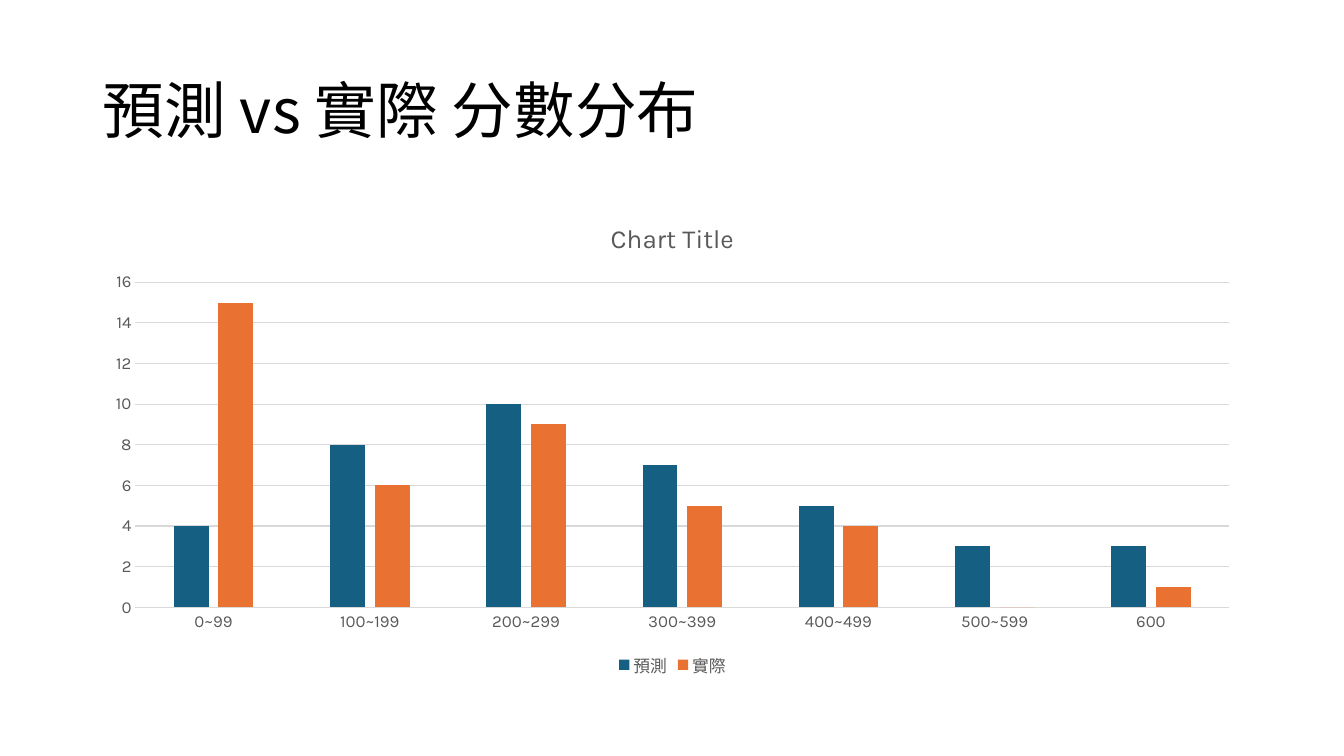
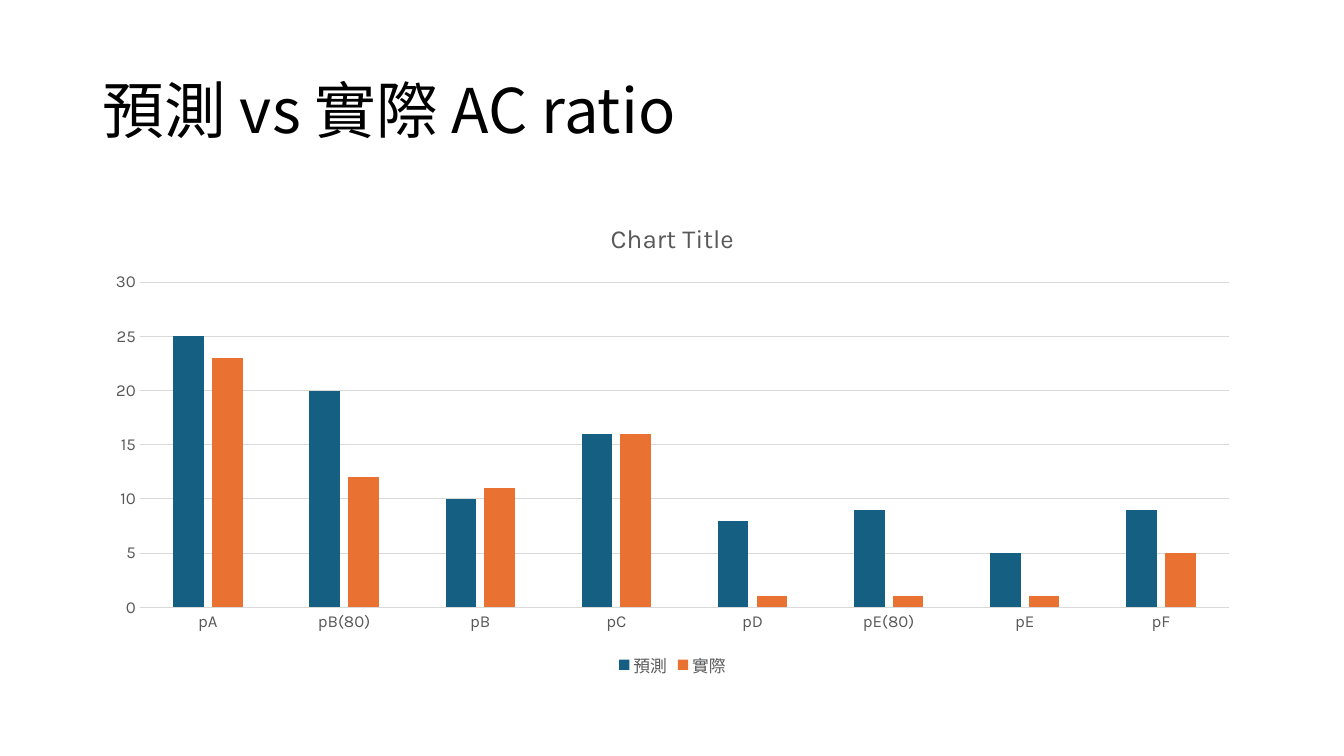
import dataclasses

import lxml.etree
import pptx
import pptx.chart.axis
import pptx.chart.chart
import pptx.chart.data
import pptx.dml.color
import pptx.dml.line
import pptx.enum.chart
import pptx.enum.text
import pptx.oxml.ns
import pptx.presentation
import pptx.text.text
import pptx.util
from pptx.util import Inches

TITLE_FONT = "Noto Sans CJK SC"
CHART_FONT = "Karla"
BLACK = "000000"
LABEL_GREY = "595959"
GRID_GREY = "D9D9D9"
SERIES_COLOURS = {"預測": "156082", "實際": "E97132"}
TITLE_ONLY_LAYOUT = 5
MARGIN = Inches(0.92)
CONTENT_WIDTH = Inches(11.5)


@dataclasses.dataclass(frozen=True)
class ComparisonSlide:
    title: str
    categories: list[str]
    predicted: list[int]
    actual: list[int]
    axis_maximum: int
    axis_step: int


SLIDES = [
    ComparisonSlide(
        title="預測 vs 實際 分數分布",
        categories=["0~99", "100~199", "200~299", "300~399", "400~499", "500~599", "600"],
        predicted=[4, 8, 10, 7, 5, 3, 3],
        actual=[15, 6, 9, 5, 4, 0, 1],
        axis_maximum=16,
        axis_step=2,
    ),
    ComparisonSlide(
        title="預測 vs 實際 AC ratio",
        categories=["pA", "pB(80)", "pB", "pC", "pD", "pE(80)", "pE", "pF"],
        predicted=[25, 20, 10, 16, 8, 9, 5, 9],
        actual=[23, 12, 11, 16, 1, 1, 1, 5],
        axis_maximum=30,
        axis_step=5,
    ),
]


def colour(value: str) -> pptx.dml.color.RGBColor:
    return pptx.dml.color.RGBColor.from_string(value)


def format_font(font: pptx.text.text.Font, *, name: str, size: float, hex_colour: str) -> None:
    font.name = name
    font.size = pptx.util.Pt(size)
    font.bold = False
    font.color.rgb = colour(hex_colour)


def write_text(
    text_frame: pptx.text.text.TextFrame, text: str, *,
    name: str, size: float, hex_colour: str, line_spacing: float | None = None,
) -> None:
    """Fill the frame with one left-aligned run, using the font for Chinese text too."""
    paragraph = text_frame.paragraphs[0]
    paragraph.alignment = pptx.enum.text.PP_ALIGN.LEFT
    paragraph.line_spacing = line_spacing
    run = paragraph.add_run()
    run.text = text
    format_font(run.font, name=name, size=size, hex_colour=hex_colour)
    properties = run.font._element
    lxml.etree.SubElement(properties, pptx.oxml.ns.qn("a:ea"), typeface=name)


def format_line(line: pptx.dml.line.LineFormat) -> None:
    line.color.rgb = colour(GRID_GREY)
    line.width = pptx.util.Pt(0.75)


def add_title(slide: pptx.slide.Slide, text: str) -> None:
    title = slide.shapes.title
    title.left, title.top = MARGIN, Inches(0.4)
    title.width, title.height = CONTENT_WIDTH, Inches(1.45)
    text_frame = title.text_frame
    text_frame.word_wrap = True
    text_frame.auto_size = pptx.enum.text.MSO_AUTO_SIZE.NONE
    text_frame.vertical_anchor = pptx.enum.text.MSO_ANCHOR.MIDDLE
    write_text(text_frame, text, name=TITLE_FONT, size=44, hex_colour=BLACK, line_spacing=0.9)


def format_axes(chart: pptx.chart.chart.Chart, content: ComparisonSlide) -> None:
    category_axis, value_axis = chart.category_axis, chart.value_axis
    for axis in (category_axis, value_axis):
        axis.major_tick_mark = pptx.enum.chart.XL_TICK_MARK.NONE
        axis.minor_tick_mark = pptx.enum.chart.XL_TICK_MARK.NONE
        format_font(axis.tick_labels.font, name=CHART_FONT, size=12, hex_colour=LABEL_GREY)
    format_line(category_axis.format.line)
    value_axis.format.line.fill.background()
    value_axis.has_major_gridlines = True
    format_line(value_axis.major_gridlines.format.line)
    value_axis.minimum_scale = 0
    value_axis.maximum_scale = content.axis_maximum
    value_axis.major_unit = content.axis_step


def add_comparison_chart(slide: pptx.slide.Slide, content: ComparisonSlide) -> None:
    data = pptx.chart.data.CategoryChartData()
    data.categories = content.categories
    for name, values in zip(SERIES_COLOURS, (content.predicted, content.actual)):
        data.add_series(name, values)
    chart = slide.shapes.add_chart(
        pptx.enum.chart.XL_CHART_TYPE.COLUMN_CLUSTERED,
        MARGIN, Inches(2), CONTENT_WIDTH, Inches(4.76), data,
    ).chart
    format_font(chart.font, name=CHART_FONT, size=10, hex_colour=BLACK)

    chart.has_title = True
    write_text(chart.chart_title.text_frame, "Chart Title",
               name=CHART_FONT, size=18.6, hex_colour=LABEL_GREY)
    format_axes(chart, content)

    chart.has_legend = True
    chart.legend.position = pptx.enum.chart.XL_LEGEND_POSITION.BOTTOM
    chart.legend.include_in_layout = False
    format_font(chart.legend.font, name=CHART_FONT, size=12, hex_colour=LABEL_GREY)

    plot = chart.plots[0]
    plot.gap_width = 219
    plot.overlap = -27
    plot.vary_by_categories = False
    for series in plot.series:
        series.invert_if_negative = False
        series.format.fill.solid()
        series.format.fill.fore_color.rgb = colour(SERIES_COLOURS[series.name])


def add_comparison_slide(
    presentation: pptx.presentation.Presentation, content: ComparisonSlide
) -> None:
    slide = presentation.slides.add_slide(presentation.slide_layouts[TITLE_ONLY_LAYOUT])
    add_title(slide, content.title)
    add_comparison_chart(slide, content)


def main() -> None:
    presentation = pptx.Presentation()
    presentation.slide_width = Inches(13.33)
    presentation.slide_height = Inches(7.5)
    for content in SLIDES:
        add_comparison_slide(presentation, content)
    presentation.save("out.pptx")


if __name__ == "__main__":
    main()
